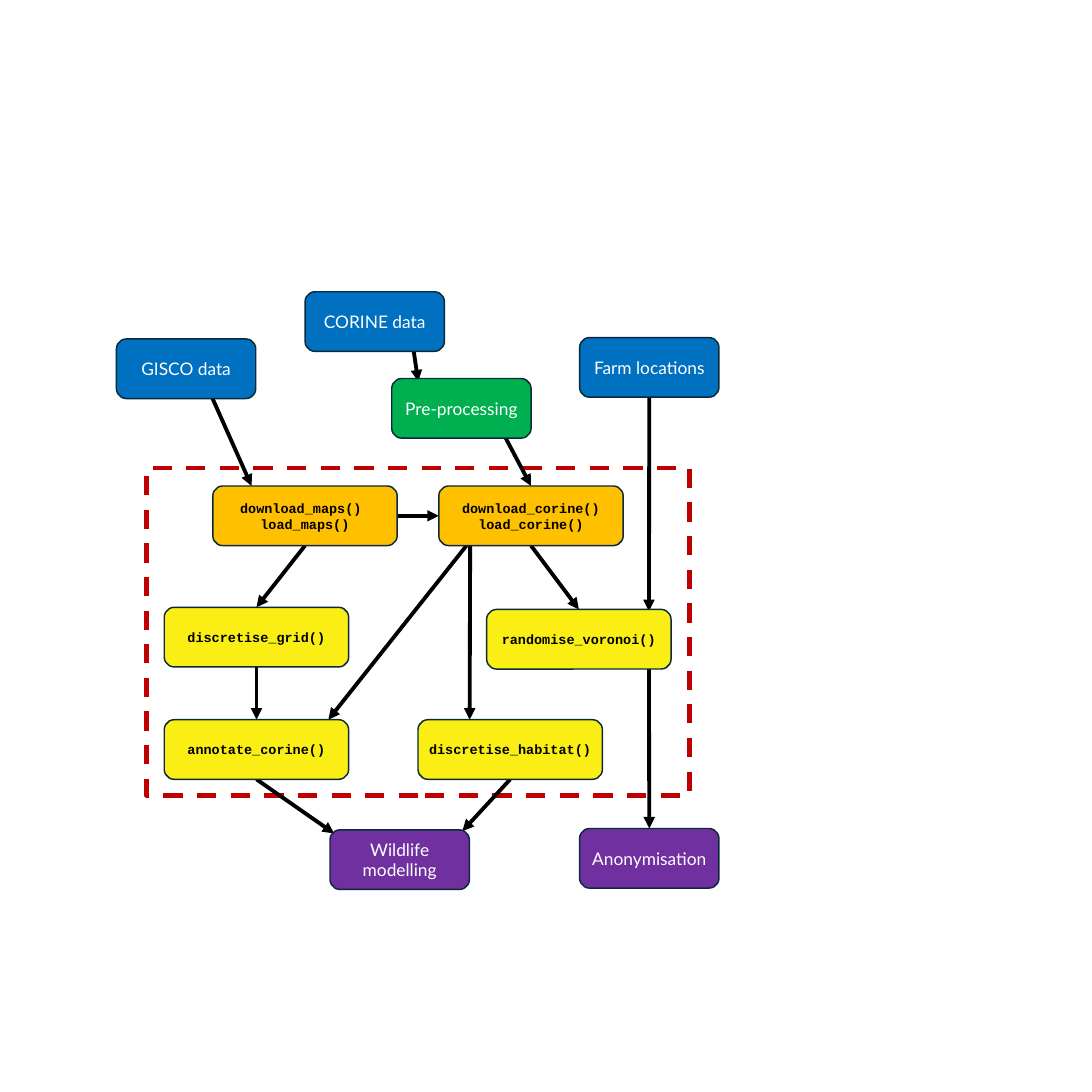
from lxml import etree
from pptx import Presentation
from pptx import util as u
from pptx.dml import color
from pptx.enum import dml, shapes, text
from pptx.oxml import ns

WIDE, SLIM, HIGH = 191.5, 144.7, 61.9
KINDS = {
    "source": ("0070C0", SLIM, "Lato", 18, "FFFFFF", False),
    "prep": ("00B050", SLIM, "Lato", 18, "FFFFFF", False),
    "load": ("FFC000", WIDE, "Courier New", 14, "000000", True),
    "step": ("FAEE14", WIDE, "Courier New", 14, "000000", True),
    "result": ("7030A0", SLIM, "Lato", 18, "FFFFFF", False),
}
NODES = {
    "gisco": ("source", -31, -134, ["GISCO data"]),
    "corine": ("source", 164.9, -183, ["CORINE data"]),
    "maps": ("load", 69.1, 18.7, ["download_maps() ", "load_maps()"]),
    "cover": ("load", 303.8, 18.7, ["download_corine()", "load_corine()"]),
    "prep": ("prep", 254.9, -92.9, ["Pre-processing"]),
    "grid": ("step", 18.7, 144.7, ["discretise_grid()"]),
    "notes": ("step", 18.7, 261.4, ["annotate_corine()"]),
    "random": ("step", 353.5, 146.9, ["randomise_voronoi()"]),
    "land": ("step", 282.2, 261.4, ["discretise_habitat()"]),
    "farm": ("source", 450, -135.4, ["Farm locations"]),
    "anon": ("result", 450, 374.4, ["Anonymisation"]),
    "model": ("result", 190.8, 375.8, ["Wildlife modelling"]),
}
LINKS = [
    ("corine", 0.78, 1, "prep", 0.19, 0.05),
    ("prep", 0.8, 0.92, "cover", 0.5, 0),
    ("gisco", 0.69, 1, "maps", 0.21, 0),
    ("farm", 0.5, 1, "random", 0.88, 0.03),
    ("cover", 0.5, 1, "random", 0.5, 0),
    ("maps", 1, 0.5, "cover", 0, 0.5),
    ("maps", 0.5, 1, "grid", 0.5, 0),
    ("cover", 0.15, 1, "notes", 0.89, 0),
    ("grid", 0.5, 1, "notes", 0.5, 0),
    ("cover", 0.17, 1, "land", 0.28, 0),
    ("random", 0.88, 1, "anon", 0.5, 0),
    ("land", 0.5, 1, "model", 0.95, 0.02),
    ("notes", 0.5, 1, "model", 0.03, 0.06),
]


def paint(part, tone):
    """Give a fill or a line one solid colour."""
    fill = getattr(part, "fill", part)
    fill.solid()
    fill.fore_color.rgb = color.RGBColor.from_string(tone)


def frame(slide, x, y, w, h):
    """Draw the dashed package border."""
    rect = slide.shapes.add_shape(
        shapes.MSO_SHAPE.RECTANGLE, u.Pt(x), u.Pt(y), u.Pt(w), u.Pt(h))
    rect.shadow.inherit = False
    rect.fill.background()
    paint(rect.line, "C00000")
    rect.line.width = u.Pt(5)
    rect.line.dash_style = dml.MSO_LINE.DASH


def node(slide, x, y, kind, lines):
    """Draw one rounded box with its label."""
    tone, w, font, size, ink, bold = KINDS[kind]
    box = slide.shapes.add_shape(
        shapes.MSO_SHAPE.ROUNDED_RECTANGLE,
        u.Pt(x), u.Pt(y), u.Pt(w), u.Pt(HIGH))
    box.shadow.inherit = False
    paint(box, tone)
    paint(box.line, "092A39")
    box.line.width = u.Pt(1.5)
    body = box.text_frame
    body.word_wrap = True
    body.vertical_anchor = text.MSO_ANCHOR.MIDDLE
    for i, line in enumerate(lines):
        para = body.add_paragraph() if i else body.paragraphs[0]
        para.alignment = text.PP_ALIGN.CENTER
        run = para.add_run()
        run.text = line
        run.font.name, run.font.size = font, u.Pt(size)
        run.font.bold = bold
        paint(run.font, ink)


def spot(name, across, down):
    """Return the point at the given shares of a node's width and height."""
    kind, x, y, _ = NODES[name]
    return x + across * KINDS[kind][1], y + down * HIGH


def arrow(slide, x, y, start, end):
    """Draw one arrow between two points offset by x and y."""
    (ax, ay), (bx, by) = start, end
    link = slide.shapes.add_connector(
        shapes.MSO_CONNECTOR.STRAIGHT,
        u.Pt(x + ax), u.Pt(y + ay), u.Pt(x + bx), u.Pt(y + by))
    paint(link.line, "000000")
    link.line.width = u.Pt(4)
    props = link.element.spPr
    head = etree.SubElement(props.find(ns.qn("a:ln")), ns.qn("a:tailEnd"))
    head.set("type", "triangle")
    etree.SubElement(props, ns.qn("a:effectLst"))


def flow(slide, x, y, w, h):
    """Draw the flow chart around the package border."""
    frame(slide, x, y, w, h)
    for first, fx, fy, last, tx, ty in LINKS:
        arrow(slide, x, y, spot(first, fx, fy), spot(last, tx, ty))
    for kind, dx, dy, lines in NODES.values():
        node(slide, x + dx, y + dy, kind, lines)


def main():
    """Build and save the slide."""
    deck = Presentation()
    deck.slide_width = deck.slide_height = u.Pt(1134)
    slide = deck.slides.add_slide(deck.slide_layouts[6])
    flow(slide, 151.9, 486, 564.5, 339.8)
    deck.save("out.pptx")


if __name__ == "__main__":
    main()
